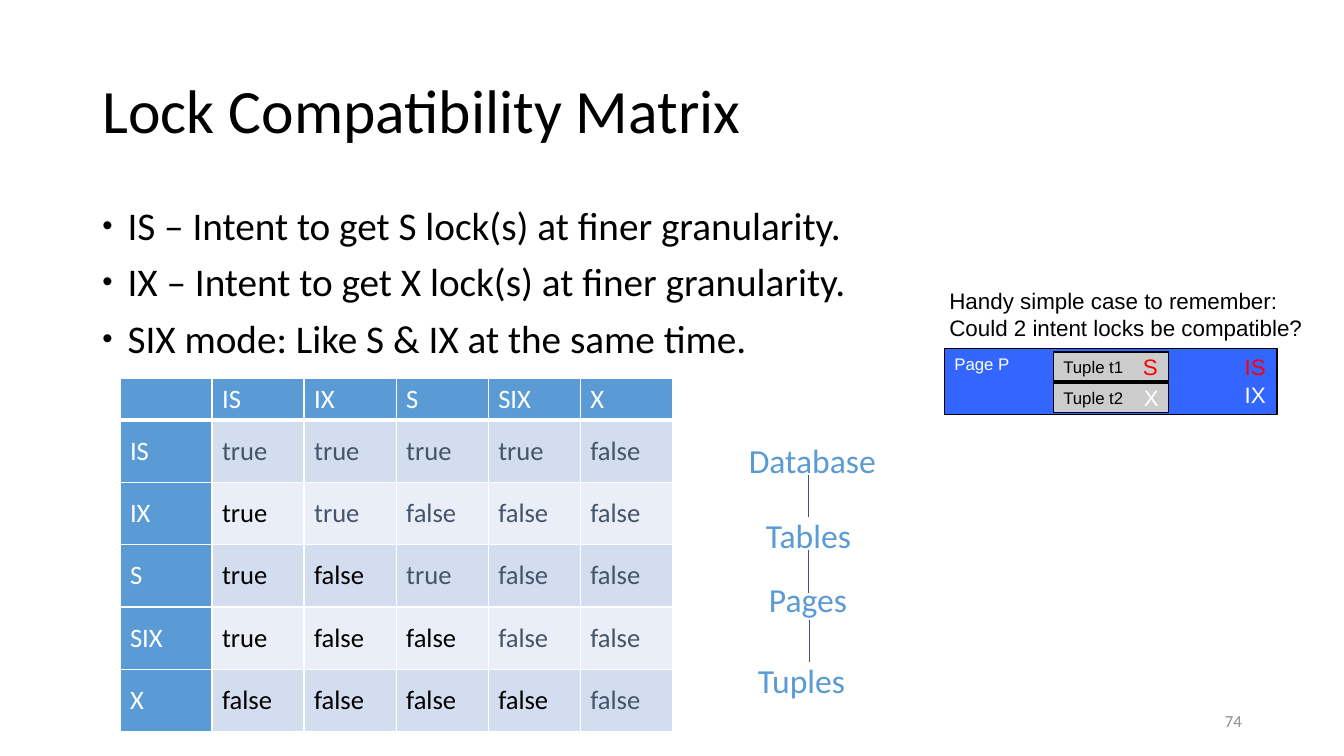
from lxml.etree import SubElement
from pptx import Presentation
from pptx.dml.color import RGBColor
from pptx.enum.shapes import MSO_CONNECTOR, MSO_SHAPE
from pptx.enum.text import MSO_ANCHOR as ANCHOR, MSO_AUTO_SIZE as AUTO, PP_ALIGN as ALIGN
from pptx.oxml.ns import qn
from pptx.util import Emu, Inches, Pt

BLACK = RGBColor(0, 0, 0)
WHITE = RGBColor(255, 255, 255)
RED = RGBColor(255, 0, 0)
BLUE = RGBColor(0x5B, 0x9B, 0xD5)
SLATE = RGBColor(0x44, 0x54, 0x6A)
BAND_DARK = RGBColor(0xD2, 0xDE, 0xEF)
BAND_LIGHT = RGBColor(0xEA, 0xEF, 0xF7)
PAGE_BLUE = RGBColor(0x33, 0x66, 0xFF)
TUPLE_GRAY = RGBColor(0xCC, 0xCC, 0xCC)
NUMBER_GRAY = RGBColor(0x8C, 0x8C, 0x8C)

COLS, ROWS = 80, 45
MODES = ["IS", "IX", "S", "SIX", "X"]
COMPATIBLE = {("IS", "IS"), ("IS", "IX"), ("IS", "S"), ("IS", "SIX"),
              ("IX", "IX"), ("S", "S")}


class Deck:
    """Style and current slide; every length is in columns and rows of an 80 by 45 grid."""
    body_font = "Calibri"
    note_font = "Arial"

    def __init__(self):
        self.prs = Presentation()
        self.prs.slide_width = Inches(13.33)
        self.prs.slide_height = Inches(7.5)
        self.s = self.prs.slides.add_slide(self.prs.slide_layouts[5])

    def x(self, cols):
        return Emu(round(self.prs.slide_width * cols / COLS))

    def y(self, rows):
        return Emu(round(self.prs.slide_height * rows / ROWS))

    def box(self, left, top, width, height):
        return self.x(left), self.y(top), self.x(width), self.y(height)

    def run(self, p, text, size, color, font=body_font):
        r = p.add_run()
        r.text = text
        r.font.name, r.font.size, r.font.bold = font, Pt(size), False
        r.font.color.rgb = color

    def title(self, text, *place):
        sp = self.s.shapes.title
        sp.left, sp.top, sp.width, sp.height = self.box(*place)
        tf = sp.text_frame
        tf.auto_size, tf.vertical_anchor = AUTO.NONE, ANCHOR.MIDDLE
        p = tf.paragraphs[0]
        p.alignment, p.line_spacing = ALIGN.LEFT, 0.9
        self.run(p, text, 44, BLACK)

    def bullets(self, items, *place):
        tf = self.s.shapes.add_textbox(*self.box(*place)).text_frame
        tf.word_wrap = True
        for i, item in enumerate(items):
            p = tf.add_paragraph() if i else tf.paragraphs[0]
            p.line_spacing, p.space_before = 0.9, Pt(10 if i else 0)
            pPr = p._p.get_or_add_pPr()
            pPr.set("marL", str(Inches(0.25)))
            pPr.set("indent", str(-Inches(0.25)))
            color = SubElement(pPr, qn("a:buClr"))
            SubElement(color, qn("a:srgbClr"), val=str(BLACK))
            SubElement(pPr, qn("a:buSzPct"), val="75000")
            SubElement(pPr, qn("a:buFont"), typeface=self.note_font)
            SubElement(pPr, qn("a:buChar"), char="•")
            self.run(p, item, 28, BLACK)

    def label(self, lines, size, color, font, *place):
        """Unwrapped text whose box grows to fit."""
        tf = self.s.shapes.add_textbox(*self.box(*place)).text_frame
        tf.word_wrap, tf.auto_size = False, AUTO.SHAPE_TO_FIT_TEXT
        p = tf.paragraphs[0]
        for i, line in enumerate(lines):
            if i:
                p.add_line_break()
            self.run(p, line, size, color, font)

    def block(self, text, fill, color, *place):
        sp = self.s.shapes.add_shape(MSO_SHAPE.RECTANGLE, *self.box(*place))
        sp.shadow.inherit = False
        sp.fill.solid()
        sp.fill.fore_color.rgb = fill
        sp.line.color.rgb, sp.line.width = BLACK, Pt(1)
        tf = sp.text_frame
        tf.vertical_anchor = ANCHOR.TOP
        tf.paragraphs[0].alignment = ALIGN.LEFT
        self.run(tf.paragraphs[0], text, 12, color, self.note_font)

    def link(self, col, row, length):
        x, y = self.x(col), self.y(row)
        line = self.s.shapes.add_connector(MSO_CONNECTOR.STRAIGHT, x, y, x, y + self.y(length))
        line.line.color.rgb, line.line.width = SLATE, Pt(1)
        SubElement(line._element.spPr, qn("a:effectLst"))

    def cell(self, cell, text, fill, color, borders):
        """Fill one table cell; borders maps a side (L, R, T, B) to a width in points."""
        cell.vertical_anchor = ANCHOR.MIDDLE
        tcPr = cell._tc.get_or_add_tcPr()
        for side, width in borders.items():
            ln = SubElement(tcPr, qn(f"a:ln{side}"), w=str(Pt(width)))
            SubElement(SubElement(ln, qn("a:solidFill")), qn("a:srgbClr"), val=str(WHITE))
        cell.fill.solid()
        cell.fill.fore_color.rgb = fill
        if text:
            self.run(cell.text_frame.paragraphs[0], text, 19, color)

    def matrix(self, left, top, col_width, head_height, row_height):
        """Symmetric lock table, black below the diagonal."""
        n = len(MODES) + 1
        place = self.box(left, top, n * col_width, head_height + (n - 1) * row_height)
        table = self.s.shapes.add_table(n, n, *place).table
        table.first_row = table.horz_banding = False
        for i in range(n):
            table.columns[i].width = self.x(col_width)
            table.rows[i].height = self.y(row_height if i else head_height)
            for j in range(n):
                if i and j:
                    pair = MODES[min(i, j) - 1], MODES[max(i, j) - 1]
                    text = "true" if pair in COMPATIBLE else "false"
                    fill = BAND_DARK if i % 2 else BAND_LIGHT
                    color = BLACK if j < i else SLATE
                else:
                    text = MODES[i + j - 1] if i + j else ""
                    fill, color = BLUE, WHITE
                borders = {"L": 1, "R": 1, "B": 1} if i else {"L": 1, "R": 1, "T": 1, "B": 3}
                self.cell(table.cell(i, j), text, fill, color, borders)

    def number(self, text, *place):
        tf = self.s.shapes.add_textbox(*self.box(*place)).text_frame
        tf.word_wrap, tf.vertical_anchor = True, ANCHOR.MIDDLE
        tf.paragraphs[0].alignment = ALIGN.RIGHT
        self.run(tf.paragraphs[0], text, 12, NUMBER_GRAY)


def main():
    deck = Deck()
    deck.title("Lock Compatibility Matrix", 5.5, 2.4, 69, 8.7)
    deck.bullets(["IS – Intent to get S lock(s) at finer granularity.",
                  "IX – Intent to get X lock(s) at finer granularity.",
                  "SIX mode: Like S & IX at the same time."], 5.5, 12, 69, 28.56)
    deck.matrix(7.14, 22.5, 5.48, 2.46, 3.71)

    deck.block("Page P", PAGE_BLUE, WHITE, 56.22, 20.76, 19.8, 3.9)
    for i, name in enumerate(["Tuple t1", "Tuple t2"]):
        deck.block(name, TUPLE_GRAY, BLACK, 62.7, 20.94 + 1.86 * i, 6.84, 1.74)
    for lock, color, col, row, width in [("IS", RED, 73.5, 20.7, 2.46),
                                         ("S", RED, 67.44, 20.7, 2.1),
                                         ("IX", WHITE, 73.5, 22.38, 2.46),
                                         ("X", WHITE, 67.5, 22.56, 2.1)]:
        deck.label([lock], 16, color, deck.note_font, col, row, width, 2.22)
    deck.label(["Handy simple case to remember:", "Could 2 intent locks be compatible?"],
               16, BLACK, deck.note_font, 55.92, 16.8, 22.44, 3.84)

    for level, col, row, width in [("Database", 43.98, 25.86, 8.88),
                                   ("Tables", 45, 30.36, 6.36),
                                   ("Pages", 45.18, 34.14, 5.94),
                                   ("Tuples", 44.52, 39, 6.48)]:
        deck.label([level], 24, BLUE, deck.body_font, col, row, width, 3.06)
    for col, row in [(48.12, 28.26), (48.12, 32.76), (48.18, 36.9)]:
        deck.link(col, row, 2.52)

    deck.number("74", 56.52, 41.7, 18, 2.4)
    deck.prs.save("out.pptx")


if __name__ == "__main__":
    main()
